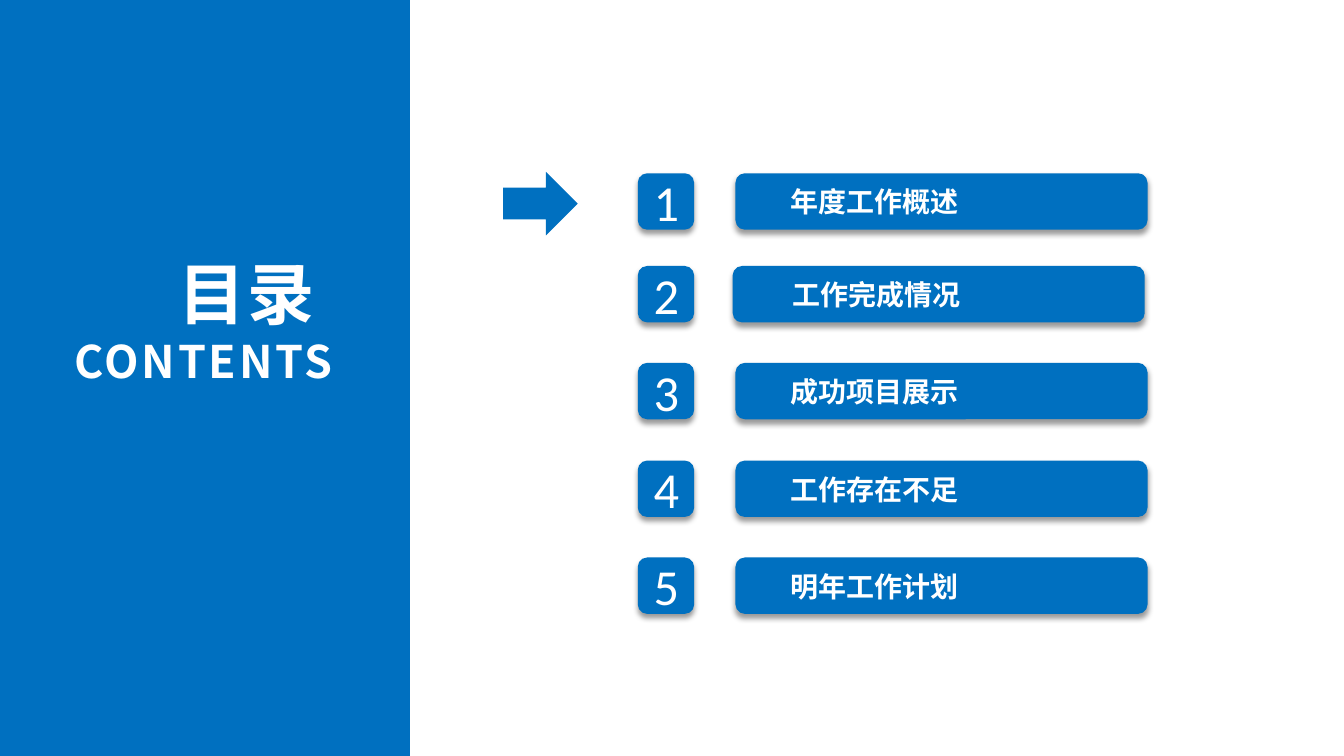
from dataclasses import dataclass

from lxml.etree import SubElement
from pptx import Presentation
from pptx.dml.color import RGBColor
from pptx.enum.shapes import MSO_SHAPE
from pptx.enum.text import MSO_ANCHOR, MSO_AUTO_SIZE, PP_ALIGN
from pptx.oxml.ns import qn
from pptx.util import Pt


@dataclass(frozen=True)
class Theme:
    """Colours, fonts and type sizes of the slide."""
    blue: RGBColor = RGBColor(0x00, 0x70, 0xC0)
    white: RGBColor = RGBColor(0xFF, 0xFF, 0xFF)
    han: str = "Noto Sans CJK SC"
    latin: str = "Calibri"
    head: int = 48
    sub: int = 32
    digit: int = 36
    label: int = 20
    lead: float = 1.21


THEME = Theme()
ROWS = [
    ("年度工作概述", 123.8, 0),
    ("工作完成情况", 190, -2),
    ("成功项目展示", 259.2, 0),
    ("工作存在不足", 329, 0),
    ("明年工作计划", 398.2, 0),
]


def add_block(shapes, kind, left, top, width, height, shade=False):
    """Add a plain blue shape, with a soft shadow below it on request."""
    block = shapes.add_shape(kind, Pt(left), Pt(top), Pt(width), Pt(height))
    block.fill.solid()
    block.fill.fore_color.rgb = THEME.blue
    block.line.fill.background()
    block.shadow.inherit = False
    if shade:
        effects = block._element.spPr.find(qn("a:effectLst"))
        outer = SubElement(effects, qn("a:outerShdw"), blurRad=str(Pt(4)),
                           dist=str(Pt(3)), dir="5400000", rotWithShape="0")
        black = SubElement(outer, qn("a:srgbClr"), val="000000")
        SubElement(black, qn("a:alpha"), val="40000")
    return block


def set_frame(frame, anchor):
    """Set the insets, wrapping and anchor of a text frame."""
    frame.margin_left = frame.margin_right = Pt(9.4)
    frame.margin_top = frame.margin_bottom = Pt(5)
    frame.word_wrap = True
    frame.auto_size = MSO_AUTO_SIZE.NONE
    frame.vertical_anchor = anchor


def add_run(para, text, size, align, font, bold=False, track=0):
    """Add one white run to a paragraph and align it."""
    para.alignment = align
    run = para.add_run()
    run.text = text
    run.font.size = Pt(size)
    run.font.bold = bold
    run.font.name = font
    run.font.color.rgb = THEME.white
    props = run.font._element
    if font == THEME.han:
        para.line_spacing = Pt(round(size * THEME.lead))
        SubElement(props, qn("a:ea"), typeface=font)
    if track:
        props.set("spc", str(track * 100))


def add_panel(slide, left, top, width, height):
    """Draw the blue side panel and set the title on it."""
    panel = add_block(slide.shapes, MSO_SHAPE.RECTANGLE, left, top, width, height)
    title = slide.shapes.title
    panel._element.addnext(title._element)
    title.left, title.top = Pt(left + 26.6), Pt(top + 175)
    title.width, title.height = Pt(221), Pt(106.6)
    frame = title.text_frame
    set_frame(frame, MSO_ANCHOR.TOP)
    add_run(frame.paragraphs[0], "目录 ", THEME.head, PP_ALIGN.RIGHT,
            THEME.han, True, 2)
    add_run(frame.add_paragraph(), "CONTENTS", THEME.sub, PP_ALIGN.RIGHT,
            THEME.han, True, 2)


def add_row(slide, left, top, side, num, text, shift):
    """Draw one entry: a number tile, then a bar grouped with its label."""
    tile = add_block(slide.shapes, MSO_SHAPE.ROUNDED_RECTANGLE,
                     left, top, side, side, True)
    set_frame(tile.text_frame, MSO_ANCHOR.MIDDLE)
    add_run(tile.text_frame.paragraphs[0], str(num), THEME.digit,
            PP_ALIGN.CENTER, THEME.latin)
    group = slide.shapes.add_group_shape()
    start = left + 69.8
    add_block(group.shapes, MSO_SHAPE.ROUNDED_RECTANGLE,
              start + shift, top, 294.5, side, True)
    label = group.shapes.add_textbox(Pt(start + 30.2 - shift / 2), Pt(top + 3.3),
                                     Pt(210), Pt(34))
    set_frame(label.text_frame, MSO_ANCHOR.TOP)
    add_run(label.text_frame.paragraphs[0], text, THEME.label,
            PP_ALIGN.LEFT, THEME.han, True)


def add_list(slide, left, side):
    """Draw all entries and the arrow that marks the first."""
    for num, (text, top, shift) in enumerate(ROWS, 1):
        add_row(slide, left, top, side, num, text, shift)
    add_block(slide.shapes, MSO_SHAPE.RIGHT_ARROW,
              left - 96.2, ROWS[0][1] - 1.1, 53.3, 45.4)


def main():
    """Build and save the contents slide."""
    deck = Presentation()
    deck.slide_width, deck.slide_height = Pt(960.5), Pt(540)
    slide = deck.slides.add_slide(deck.slide_layouts[5])
    add_panel(slide, 0, 0, 293, 540)
    add_list(slide, 455.8, 40.3)
    deck.save("out.pptx")


if __name__ == "__main__":
    main()
